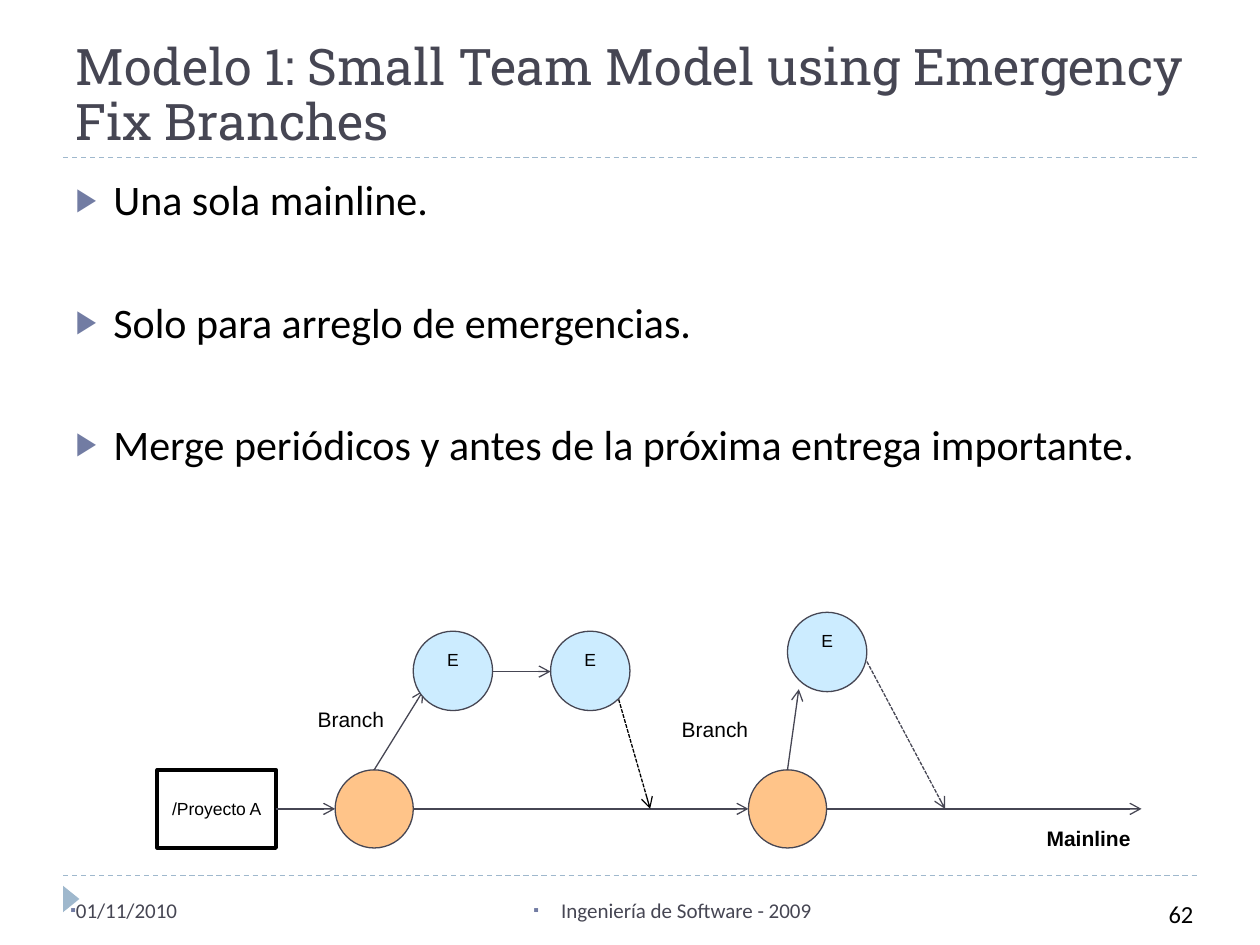
from dataclasses import dataclass

from lxml import etree
from pptx import Presentation
from pptx import util as u
from pptx.dml.color import RGBColor
from pptx.enum import dml, shapes, text
from pptx.oxml.ns import qn


@dataclass(frozen=True)
class Theme:
    heading: str = "Roboto Slab"
    body: str = "Calibri"
    diagram: str = "Arial"
    slate: str = "464653"
    black: str = "000000"
    rule: str = "9FB8CD"
    bullet: str = "727CA3"
    mainline: str = "FFC489"
    emergency: str = "CCECFF"
    title_size: float = 28.8
    list_size: int = 24
    number_size: int = 14
    small_size: int = 12
    node_size: int = 10


theme = Theme()
color = RGBColor.from_string
align = text.PP_ALIGN

deck = Presentation()
deck.slide_width, deck.slide_height = u.Inches(10), u.Inches(7.5)
page = deck.slides.add_slide(deck.slide_layouts[1])
column, row = deck.slide_width / 100, deck.slide_height / 75


def place(left, top, width, height):
    """Turn grid columns and rows into slide lengths."""
    return [round(n * step) for n, step in
            zip((left, top, width, height), (column, row, column, row))]


def write(para, words, font, size, ink=theme.black, side=align.CENTER, bold=False):
    para.alignment = side
    span = para.add_run()
    span.text = words
    span.font.name, span.font.size, span.font.bold = font, u.Pt(size), bold
    span.font.color.rgb = color(ink)


# Title and list
title, body = page.shapes.title, page.placeholders[1]
for box, area, anchor in ((title, (5, 1.7, 90, 10.8), text.MSO_ANCHOR.BOTTOM),
                          (body, (5, 13.3, 90, 54), text.MSO_ANCHOR.TOP)):
    box.left, box.top, box.width, box.height = place(*area)
    box.text_frame.vertical_anchor = anchor
    box.text_frame.auto_size = text.MSO_AUTO_SIZE.NONE
    box.text_frame.word_wrap = True

heading = title.text_frame.paragraphs[0]
heading.line_spacing = 0.9
write(heading, "Modelo 1: Small Team Model using Emergency Fix Branches",
      theme.heading, theme.title_size, theme.slate, align.LEFT)

bulleted = []
points = ("Una sola mainline.", "Solo para arreglo de emergencias.",
          "Merge periódicos y antes de la próxima entrega importante.")
for index, words in enumerate(points):
    para = body.text_frame.add_paragraph() if index else body.text_frame.paragraphs[0]
    para.space_before = u.Pt(41 if index else 6)
    write(para, words, theme.body, theme.list_size, side=align.LEFT)
    bulleted.append((para, "▶", 0.3))

# Footer marker
marker = page.shapes.add_shape(shapes.MSO_SHAPE.ISOSCELES_TRIANGLE,
                               *place(4.6, 70.7, 2.1, 1.3))
marker.rotation = 90
marker.shadow.inherit = False
marker.fill.solid()
marker.fill.fore_color.rgb = color(theme.rule)
marker.line.fill.background()

# Footer and diagram labels: words, area, font, size, ink, side, bold, bullet indent
labels = (
    ("01/11/2010", (4.6, 70.2, 23.3, 4), theme.body, theme.small_size,
     theme.slate, align.LEFT, False, 0),
    ("Ingeniería de Software - 2009", (33.7, 70.2, 31.7, 4), theme.body,
     theme.small_size, theme.slate, align.RIGHT, False, 0.22),
    ("62", (76.6, 70.9, 19.1, 3.3), theme.body, theme.number_size,
     theme.black, align.RIGHT, False, None),
    ("Branch", (24.2, 55.6, 7.3, 3), theme.diagram, theme.small_size,
     theme.black, align.CENTER, False, None),
    ("Branch", (53.1, 56.4, 7.3, 3), theme.diagram, theme.small_size,
     theme.black, align.CENTER, False, None),
    ("Mainline", (82, 65, 8.8, 3), theme.diagram, theme.small_size,
     theme.black, align.CENTER, True, None),
)
for words, area, font, size, ink, side, bold, indent in labels:
    box = page.shapes.add_textbox(*place(*area))
    box.text_frame.word_wrap = side != align.CENTER
    box.text_frame.vertical_anchor = text.MSO_ANCHOR.MIDDLE
    para = box.text_frame.paragraphs[0]
    write(para, words, font, size, ink, side, bold)
    if indent is not None:
        bulleted.append((para, "▪", indent))

for para, mark, indent in bulleted:
    props = para._p.get_or_add_pPr()
    props.set("marL", str(u.Inches(indent)))
    props.set("indent", str(-u.Inches(indent)))
    tint = etree.SubElement(props, qn("a:buClr"))
    etree.SubElement(tint, qn("a:srgbClr"), val=theme.bullet)
    etree.SubElement(props, qn("a:buSzPct"), val="76000")
    etree.SubElement(props, qn("a:buFont"), typeface=theme.diagram)
    etree.SubElement(props, qn("a:buChar"), char=mark)

# Project box
project = page.shapes.add_shape(shapes.MSO_SHAPE.RECTANGLE, *place(12.5, 61.1, 9.4, 6.2))
project.shadow.inherit = False
project.fill.background()
project.line.color.rgb = color(theme.black)
project.line.width = u.Pt(2.25)
project.text_frame.word_wrap = True
project.text_frame.vertical_anchor = text.MSO_ANCHOR.MIDDLE
write(project.text_frame.paragraphs[0], "/Proyecto A", theme.diagram, theme.node_size)

# Rules and arrows: start, end, ink, dash, arrowhead
axis = 64.2
dash, dots = dml.MSO_LINE.DASH, dml.MSO_LINE.SQUARE_DOT
lines = (
    ((5, 12.5), (95, 12.5), theme.rule, dash, False),
    ((5, 69.5), (95, 69.5), theme.rule, dash, False),
    ((21.9, axis), (26.6, axis), theme.slate, None, True),
    ((32.8, axis), (59.4, axis), theme.slate, None, True),
    ((65.6, axis), (90.6, axis), theme.slate, None, True),
    ((29.7, 61.1), (33.6, 54.8), theme.slate, None, True),
    ((62.5, 61.1), (63.4, 54.7), theme.slate, None, True),
    ((39.1, 53.3), (43.7, 53.3), theme.slate, None, True),
    ((49.1, 55.5), (51.6, axis), theme.black, dots, True),
    ((68.8, 52.5), (75, axis), theme.slate, dots, True),
)
for start, end, ink, style, arrow in lines:
    line = page.shapes.add_connector(shapes.MSO_CONNECTOR.STRAIGHT, *place(*start, *end))
    line.line.color.rgb = color(ink)
    line.line.width = u.Pt(0.75)
    if style:
        line.line.dash_style = style
    if arrow:
        etree.SubElement(line.line._get_or_add_ln(), qn("a:tailEnd"), type="arrow")
    if start == (21.9, axis):
        line.begin_connect(project, 3)
    etree.SubElement(line._element.spPr, qn("a:effectLst"))

# Versions on the mainline and on the emergency branches
circles = [(left, 61.1, 6.2, theme.mainline, "") for left in (26.6, 59.4)]
circles += [(left, top, 6.3, theme.emergency, "E")
            for left, top in ((32.8, 50.1), (43.7, 50.1), (62.5, 48.6))]
for left, top, size, fill, words in circles:
    circle = page.shapes.add_shape(shapes.MSO_SHAPE.OVAL, *place(left, top, size, size))
    circle.shadow.inherit = False
    circle.fill.solid()
    circle.fill.fore_color.rgb = color(fill)
    circle.line.color.rgb = color(theme.slate)
    circle.line.width = u.Pt(0.75)
    if words:
        circle.text_frame.vertical_anchor = text.MSO_ANCHOR.TOP
        write(circle.text_frame.paragraphs[0], words, theme.diagram, theme.node_size)

deck.save("out.pptx")
